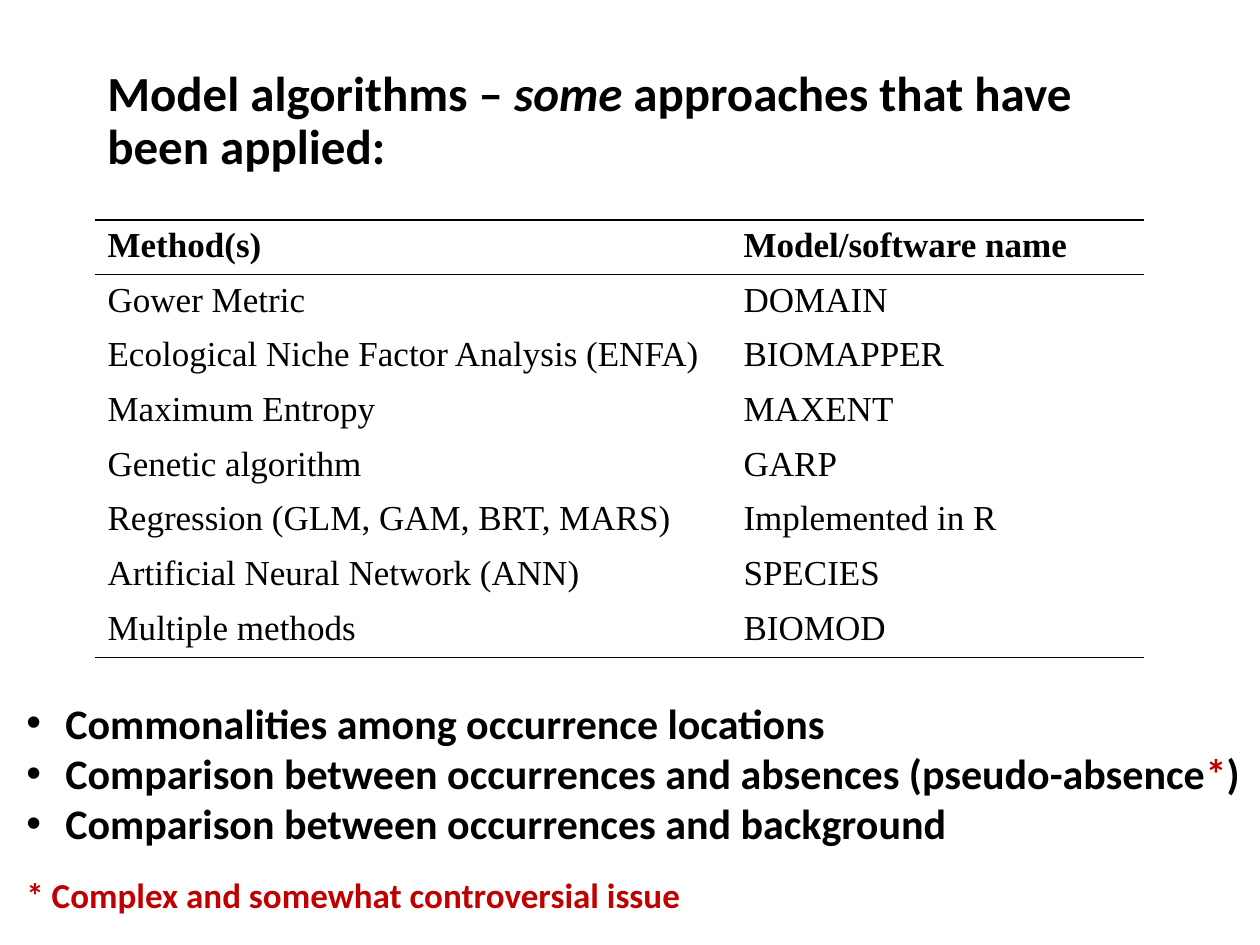
from dataclasses import dataclass

from lxml import etree
from pptx import Presentation
from pptx.dml.color import RGBColor
from pptx.enum.text import MSO_ANCHOR, MSO_AUTO_SIZE
from pptx.oxml.ns import qn
from pptx.util import Emu, Pt

EMU_PER_PX = 914400 / 126
TOP = MSO_ANCHOR.TOP
GROW = MSO_AUTO_SIZE.SHAPE_TO_FIT_TEXT
HEADING_FONT = "Calibri"
TABLE_FONT = "Times New Roman"
COLORS = {"ink": "000000", "accent": "C00000"}
BULLET_INDENT = 39
COLUMN_WIDTHS = (636, 413)
METHODS = (
    ("Method(s)", "Model/software name"),
    ("Gower Metric", "DOMAIN"),
    ("Ecological Niche Factor Analysis (ENFA)", "BIOMAPPER"),
    ("Maximum Entropy", "MAXENT"),
    ("Genetic algorithm", "GARP"),
    ("Regression (GLM, GAM, BRT, MARS)", "Implemented in R"),
    ("Artificial Neural Network (ANN)", "SPECIES"),
    ("Multiple methods", "BIOMOD"),
)


@dataclass(frozen=True)
class Span:
    text: str
    color: str = "ink"
    italic: bool = False


@dataclass(frozen=True)
class Line:
    spans: tuple[Span, ...]
    size: int
    bullet: bool = False
    spacing: float = 1.0
    space_before: float = 0


@dataclass(frozen=True)
class Box:
    left: int
    top: int
    width: int
    height: int

    def emu(self) -> tuple[Emu, ...]:
        return tuple(map(px, (self.left, self.top, self.width, self.height)))


TITLE = (
    Line(
        (
            Span("Model algorithms – "),
            Span("some", italic=True),
            Span(" approaches that have been applied:"),
        ),
        28,
        spacing=0.9,
    ),
)
NOTES = (
    Line((Span("Commonalities among occurrence locations"),), 24, bullet=True),
    Line(
        (
            Span("Comparison between occurrences and absences (pseudo-absence"),
            Span("*", "accent"),
            Span(")"),
        ),
        24,
        bullet=True,
    ),
    Line((Span("Comparison between occurrences and background"),), 24, bullet=True),
    Line(
        (Span("* Complex and somewhat controversial issue", "accent"),),
        20,
        space_before=14.6,
    ),
)


def px(length: int) -> Emu:
    return Emu(round(length * EMU_PER_PX))


def style_font(font, name: str, size: int, color: str, bold: bool) -> None:
    font.name = name
    font.size = Pt(size)
    font.bold = bold
    font.color.rgb = RGBColor.from_string(COLORS[color])


def add_bullet(paragraph) -> None:
    properties = paragraph._p.get_or_add_pPr()
    properties.set("marL", str(px(BULLET_INDENT)))
    properties.set("indent", str(-px(BULLET_INDENT)))
    etree.SubElement(properties, qn("a:buFont"), typeface="Arial")
    etree.SubElement(properties, qn("a:buChar"), char="•")


def add_text(slide, box: Box, lines: tuple[Line, ...], wrap: bool):
    text_frame = slide.shapes.add_textbox(*box.emu()).text_frame
    text_frame.word_wrap = wrap
    text_frame.vertical_anchor = TOP
    for index, line in enumerate(lines):
        paragraph = text_frame.add_paragraph() if index else text_frame.paragraphs[0]
        if line.bullet:
            add_bullet(paragraph)
        paragraph.line_spacing = line.spacing
        if line.space_before:
            paragraph.space_before = Pt(line.space_before)
        for span in line.spans:
            run = paragraph.add_run()
            run.text = span.text
            style_font(run.font, HEADING_FONT, line.size, span.color, True)
            run.font.italic = span.italic
    return text_frame


def set_borders(cell, ruled_sides: set[str]) -> None:
    """Rule the named sides (L, R, T, B) and clear the others."""
    properties = cell._tc.get_or_add_tcPr()
    for index, side in enumerate("LRTB"):
        border = etree.Element(qn(f"a:ln{side}"), w=str(Pt(1)))
        if side in ruled_sides:
            fill = etree.SubElement(border, qn("a:solidFill"))
            etree.SubElement(fill, qn("a:srgbClr"), val=COLORS["ink"])
        else:
            etree.SubElement(border, qn("a:noFill"))
        properties.insert(index, border)


def add_methods_table(slide, box: Box) -> None:
    table = slide.shapes.add_table(
        len(METHODS), len(COLUMN_WIDTHS), *box.emu()
    ).table
    table.horz_banding = False
    table.first_row = False
    for column, width in zip(table.columns, COLUMN_WIDTHS):
        column.width = px(width)
    last_row = len(METHODS) - 1
    for row, texts in enumerate(METHODS):
        ruled_sides = set()
        if row in (0, 1):
            ruled_sides.add("T")
        if row in (0, last_row):
            ruled_sides.add("B")
        for column, text in enumerate(texts):
            cell = table.cell(row, column)
            cell.text_frame.text = text
            run = cell.text_frame.paragraphs[0].runs[0]
            style_font(run.font, TABLE_FONT, 20, "ink", row == 0)
            cell.fill.background()
            set_borders(cell, ruled_sides)


def main() -> None:
    presentation = Presentation()
    presentation.slide_width = px(1260)
    presentation.slide_height = px(945)
    slide = presentation.slides.add_slide(presentation.slide_layouts[6])
    add_text(slide, Box(95, 63, 1071, 73), TITLE, wrap=True)
    add_methods_table(slide, Box(95, 220, sum(COLUMN_WIDTHS), 437))
    notes = add_text(slide, Box(14, 691, 1251, 242), NOTES, wrap=False)
    notes.auto_size = GROW
    presentation.save("out.pptx")


if __name__ == "__main__":
    main()
